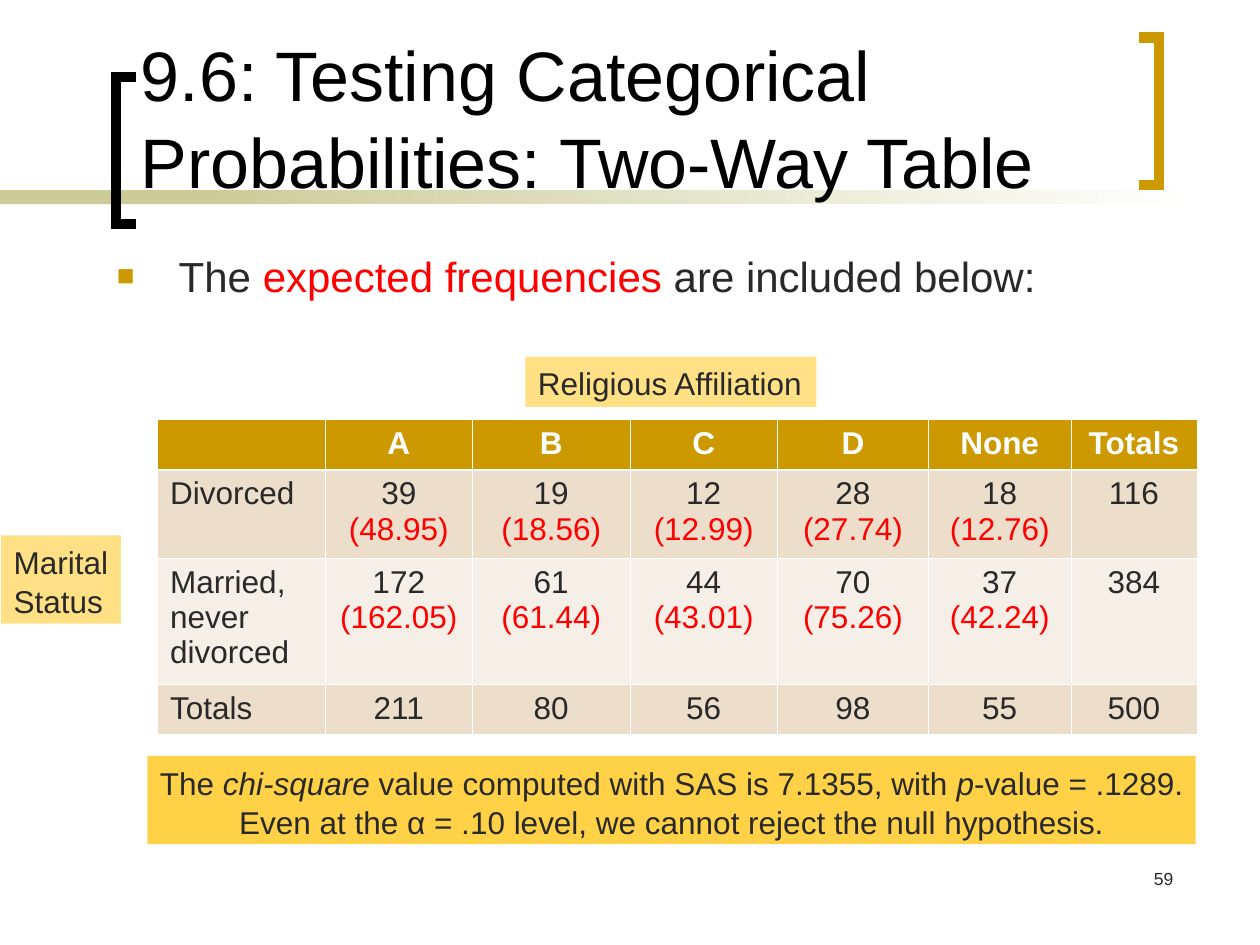
from dataclasses import dataclass

from lxml import etree
from pptx import Presentation
from pptx import util as u
from pptx.dml.color import RGBColor
from pptx.enum import shapes, text
from pptx.oxml import ns

PX = 9144  # EMU per px, 100 px to the inch
LEFT, MID, RIGHT = text.PP_ALIGN.LEFT, text.PP_ALIGN.CENTER, text.PP_ALIGN.RIGHT


@dataclass(frozen=True)
class Theme:
    font: str = "Arial"
    ink: str = "292929"
    black: str = "000000"
    white: str = "FFFFFF"
    red: str = "FF0000"
    gold: str = "CC9900"
    olive: str = "CCCC99"
    label: str = "FFE085"
    note: str = "FFD147"
    dark: str = "ECDECB"
    light: str = "F6EFE7"
    title: int = 40
    body: int = 24
    small: int = 18
    tiny: int = 10
    lead: float = 1.04


def rgb(code):
    return RGBColor.from_string(code)


def node(parent, tag, **attrs):
    item = etree.SubElement(parent, ns.qn("a:" + tag))
    for key, value in attrs.items():
        item.set(key, str(value))
    return item


class Deck:
    def __init__(self, theme):
        self.theme = theme
        self.prs = Presentation()
        self.prs.slide_width, self.prs.slide_height = 1000 * PX, 750 * PX
        self.slide = self.prs.slides.add_slide(self.prs.slide_layouts[6])

    def rect(self, box, color, fade=None):
        shape = self.slide.shapes.add_shape(
            shapes.MSO_SHAPE.RECTANGLE, *[n * PX for n in box])
        shape.shadow.inherit = False
        shape.line.fill.background()
        if fade:
            shape.fill.gradient()
            shape.fill.gradient_angle = 0
            for stop, code, pos in zip(shape.fill.gradient_stops, (color, fade), (0, 1)):
                stop.color.rgb, stop.position = rgb(code), pos
        else:
            shape.fill.solid()
            shape.fill.fore_color.rgb = rgb(color)
        return shape

    def bracket(self, tip, back, top, color):
        low = top + 117
        form = self.slide.shapes.build_freeform(tip, top, scale=PX)
        form.add_line_segments([(back, top), (back, low), (tip, low)], close=False)
        shape = form.convert_to_shape()
        shape.shadow.inherit = False
        shape.fill.background()
        shape.line.color.rgb = rgb(color)
        shape.line.width = u.Pt(6)
        node(shape._element.spPr.find(ns.qn("a:ln")), "miter", lim=800000)

    def place(self, frame, lines, size, color=None, align=LEFT, bold=False, lead=None):
        """Fill a frame; a line is a string or a list of (words, style) runs."""
        for i, line in enumerate(lines):
            par = frame.paragraphs[0] if i == 0 else frame.add_paragraph()
            par.alignment = align
            par.line_spacing = lead
            font = par.font
            font.name, font.size, font.bold = self.theme.font, u.Pt(size), bold
            font.color.rgb = rgb(color or self.theme.ink)
            for words, style in [(line, "")] if isinstance(line, str) else line:
                run = par.add_run()
                run.text = words
                if style == "red":
                    run.font.color.rgb = rgb(self.theme.red)
                elif style == "italic":
                    run.font.italic = True

    def text(self, box, lines, size, color=None, align=LEFT, anchor=text.MSO_ANCHOR.TOP):
        frame = self.slide.shapes.add_textbox(*[n * PX for n in box]).text_frame
        frame.word_wrap = True
        frame.vertical_anchor = anchor
        self.place(frame, lines, size, color, align, lead=self.theme.lead)
        return frame

    def bullet(self, box, line):
        par = self.text(box, [line], self.theme.body).paragraphs[0]
        par.space_before = u.Pt(6)
        props = par._p.get_or_add_pPr()
        props.set("marL", str(49 * PX))
        props.set("indent", str(-49 * PX))
        marks = [node(props, "buClr"), node(props, "buSzPct", val=70000),
                 node(props, "buFont", typeface=self.theme.font),
                 node(props, "buChar", char="■")]
        node(marks[0], "srgbClr", val=self.theme.gold)
        last = props.find(ns.qn("a:defRPr"))
        for mark in marks:
            last.addprevious(mark)

    def label(self, box, lines, color, align=LEFT):
        frame = self.rect(box, color).text_frame
        frame.word_wrap = False
        frame.vertical_anchor = text.MSO_ANCHOR.TOP
        self.place(frame, lines, self.theme.small, align=align, lead=self.theme.lead)

    def edge(self, cell, side, width):
        line = node(cell._tc.get_or_add_tcPr(), "ln" + side, w=int(u.Pt(width)))
        node(node(line, "solidFill"), "srgbClr", val=self.theme.white)

    def table(self, left, top, wide, high, rows):
        look = self.theme
        grid = self.slide.shapes.add_table(
            len(high), len(wide), left * PX, top * PX, sum(wide) * PX, sum(high) * PX).table
        for col, size in zip(grid.columns, wide):
            col.width = size * PX
        for r, (row, size) in enumerate(zip(rows, high)):
            grid.rows[r].height = size * PX
            fill = look.gold if r == 0 else (look.light, look.dark)[r % 2]
            for c, lines in enumerate(row):
                cell = grid.cell(r, c)
                for side in "LRTB":
                    thick = (r, side) in ((0, "B"), (1, "T"))
                    self.edge(cell, side, 1.47 if thick else 0.45)
                cell.fill.solid()
                cell.fill.fore_color.rgb = rgb(fill)
                self.place(cell.text_frame, lines, look.small,
                           look.white if r == 0 else look.ink,
                           MID if r == 0 or c else LEFT, r == 0)


def counts(seen, hoped, total):
    """Cells of one row: observed count over expected count, then the total."""
    pairs = [[str(n), [(f"({e:.2f})", "red")]] for n, e in zip(seen, hoped)]
    return pairs + [[str(total)]]


def main():
    look = Theme()
    deck = Deck(look)

    # Rule and brackets
    deck.rect((0, 151, 233, 11), look.olive)
    deck.rect((158, 151, 792, 11), look.olive, look.white)
    deck.bracket(108, 92, 61, look.black)
    deck.bracket(904, 920, 30, look.gold)

    # Title, page number and lead line
    deck.text((102, 11, 783, 155), ["9.6: Testing Categorical Probabilities: Two-Way Table"],
              look.title, look.black, anchor=text.MSO_ANCHOR.BOTTOM)
    deck.text((733, 683, 208, 50), ["59"], look.tiny, align=RIGHT)
    deck.bullet((83, 192, 838, 92), [("The ", ""), ("expected frequencies ", "red"),
                                     ("are included below:", "")])

    # Two-way table
    heads = ["", "A", "B", "C", "D", "None", "Totals"]
    sums = ["Totals", "211", "80", "56", "98", "55", "500"]
    split = counts((39, 19, 12, 28, 18), (48.95, 18.56, 12.99, 27.74, 12.76), 116)
    wed = counts((172, 61, 44, 70, 37), (162.05, 61.44, 43.01, 75.26, 42.24), 384)
    deck.table(125, 333, (133, 117, 125, 117, 120, 113, 100), (40, 70, 100, 40), [
        [[head] for head in heads],
        [["Divorced"]] + split,
        [["Married,", "never", "divorced"]] + wed,
        [[total] for total in sums],
    ])

    # Axis labels and finding
    deck.label((1, 425, 95, 70), ["Marital", "Status"], look.label)
    deck.label((417, 283, 231, 40), ["Religious Affiliation"], look.label)
    deck.label((117, 600, 832, 70), [
        [("The ", ""), ("chi-square ", "italic"),
         ("value computed with SAS is 7.1355, with ", ""),
         ("p", "italic"), ("-value = .1289.", "")],
        "Even at the α = .10 level, we cannot reject the null hypothesis.",
    ], look.note, MID)

    deck.prs.save("out.pptx")


if __name__ == "__main__":
    main()
